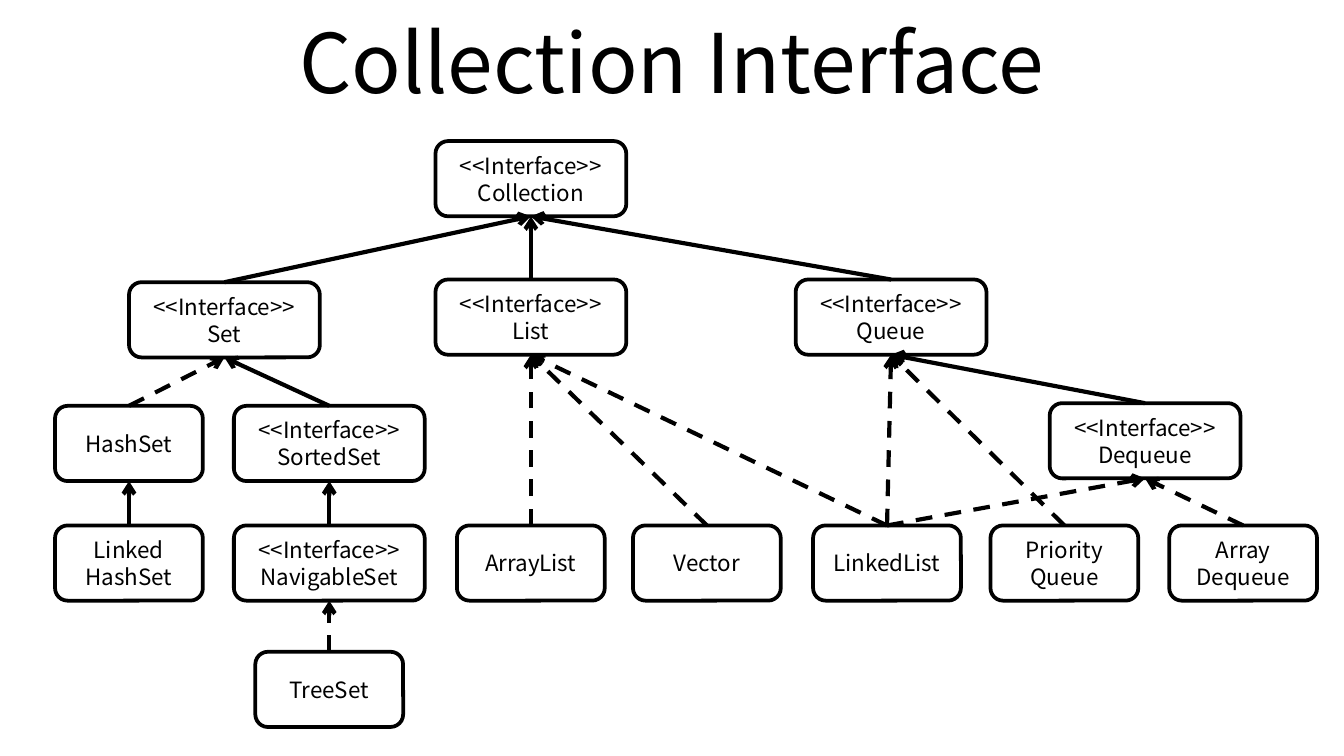
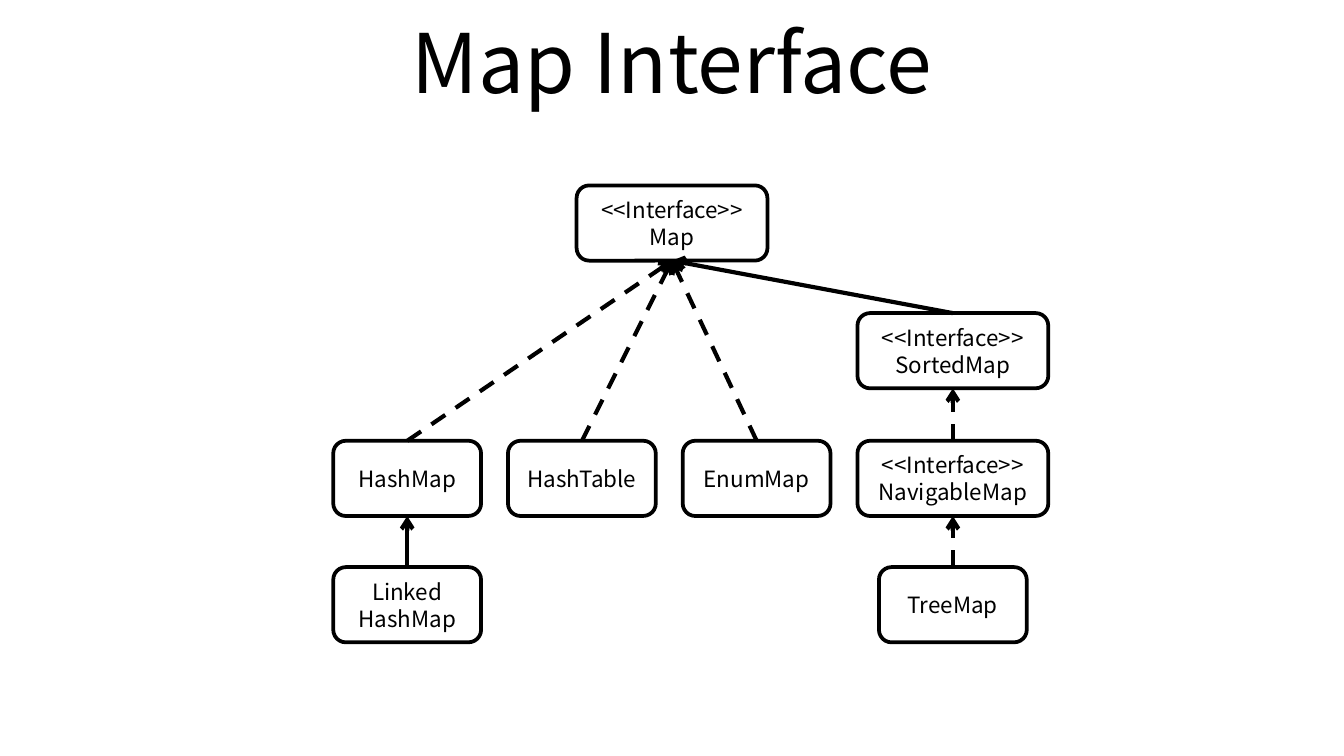
from dataclasses import dataclass

from lxml import etree
from pptx import Presentation
from pptx.dml.color import RGBColor
from pptx.enum.dml import MSO_LINE
from pptx.enum.shapes import MSO_CONNECTOR, MSO_SHAPE
from pptx.enum.text import MSO_ANCHOR, PP_ALIGN
from pptx.oxml.ns import qn
from pptx.shapes.autoshape import Shape
from pptx.slide import Slide
from pptx.text.text import TextFrame
from pptx.util import Inches, Pt

ROUNDED = MSO_SHAPE.ROUNDED_RECTANGLE
STRAIGHT = MSO_CONNECTOR.STRAIGHT
DASH = MSO_LINE.DASH
CENTER = PP_ALIGN.CENTER
MIDDLE = MSO_ANCHOR.MIDDLE
TOP_SITE, BOTTOM_SITE = 0, 2


@dataclass(frozen=True)
class Theme:
    """Colours, type and line weights shared by the slides."""

    ink: RGBColor = RGBColor(0, 0, 0)
    paper: RGBColor = RGBColor(255, 255, 255)
    font: str = "Noto Sans CJK KR"
    title_size: float = 44
    label_size: float = 12
    outline: float = 2
    arrow: float = 2.25


@dataclass(frozen=True)
class Node:
    """A type in a hierarchy, placed by its centre line and top edge."""

    name: str
    center: float
    top: float
    extends: tuple[str, ...] = ()
    implements: tuple[str, ...] = ()

    width = 1.1
    height = 0.56

    @property
    def lines(self) -> list[str]:
        """Return the lines of the label."""
        return self.name.split("\n")


@dataclass(frozen=True)
class Interface(Node):
    """A wider node labelled with the interface stereotype."""

    width = 1.42

    @property
    def lines(self) -> list[str]:
        """Return the stereotype above the name."""
        return ["<<Interface>>", self.name]


@dataclass(frozen=True)
class Hierarchy:
    """A titled slide of related types."""

    title: str
    nodes: tuple[Node, ...]


THEME = Theme()

ROOT, MAIN, SUB, LEAF, LAST = 1.05, 2.08, 3.02, 3.91, 4.85
COLLECTIONS = Hierarchy("Collection Interface", (
    Interface("Collection", 3.95, ROOT),
    Interface("Set", 1.67, 2.1, extends=("Collection",)),
    Interface("List", 3.95, MAIN, extends=("Collection",)),
    Interface("Queue", 6.63, MAIN, extends=("Collection",)),
    Node("HashSet", 0.96, SUB, implements=("Set",)),
    Interface("SortedSet", 2.45, SUB, extends=("Set",)),
    Interface("Dequeue", 8.52, 3, extends=("Queue",)),
    Node("Linked\nHashSet", 0.96, LEAF, extends=("HashSet",)),
    Interface("NavigableSet", 2.45, LEAF, extends=("SortedSet",)),
    Node("ArrayList", 3.95, LEAF, implements=("List",)),
    Node("Vector", 5.26, LEAF, implements=("List",)),
    Node("LinkedList", 6.6, LEAF, implements=("List", "Queue", "Dequeue")),
    Node("Priority\nQueue", 7.92, LEAF, implements=("Queue",)),
    Node("Array\nDequeue", 9.25, LEAF, implements=("Dequeue",)),
    Node("TreeSet", 2.45, LAST, implements=("NavigableSet",)),
))

MAP_ROOT, MAP_SORTED, MAP_CLASS, MAP_LAST = 1.38, 2.33, 3.28, 4.22
MAPS = Hierarchy("Map Interface", (
    Interface("Map", 5, MAP_ROOT),
    Interface("SortedMap", 7.09, MAP_SORTED, extends=("Map",)),
    Node("HashMap", 3.03, MAP_CLASS, implements=("Map",)),
    Node("HashTable", 4.33, MAP_CLASS, implements=("Map",)),
    Node("EnumMap", 5.63, MAP_CLASS, implements=("Map",)),
    Interface("NavigableMap", 7.09, MAP_CLASS, implements=("SortedMap",)),
    Node("Linked\nHashMap", 3.03, MAP_LAST, extends=("HashMap",)),
    Node("TreeMap", 7.09, MAP_LAST, implements=("NavigableMap",)),
))


def write_lines(frame: TextFrame, lines: list[str], size: float) -> None:
    """Write centred paragraphs in the theme font."""
    frame.word_wrap = True
    frame.vertical_anchor = MIDDLE
    frame.margin_left = frame.margin_right = Inches(0.02)
    frame.text = "\n".join(lines)
    for para in frame.paragraphs:
        para.alignment = CENTER
        para.font.name = THEME.font
        para.font.size = Pt(size)
        para.font.color.rgb = THEME.ink


def add_title(page: Slide, title: str) -> None:
    """Add the slide title."""
    box = page.shapes.add_textbox(Inches(0.5), Inches(-0.02), Inches(9), Inches(0.94))
    write_lines(box.text_frame, [title], THEME.title_size)


def add_node(page: Slide, node: Node) -> Shape:
    """Draw a type as a rounded box."""
    box = page.shapes.add_shape(
        ROUNDED, Inches(node.center - node.width / 2), Inches(node.top),
        Inches(node.width), Inches(node.height))
    box.shadow.inherit = False
    box.fill.solid()
    box.fill.fore_color.rgb = THEME.paper
    box.line.color.rgb = THEME.ink
    box.line.width = Pt(THEME.outline)
    write_lines(box.text_frame, node.lines, THEME.label_size)
    return box


def add_arrow(page: Slide, child: Shape, parent: Shape, dashed: bool) -> None:
    """Join the top of a child to the bottom of its parent."""
    arrow = page.shapes.add_connector(STRAIGHT, 0, 0, 0, 0)
    arrow.begin_connect(child, TOP_SITE)
    arrow.end_connect(parent, BOTTOM_SITE)
    arrow.line.color.rgb = THEME.ink
    arrow.line.width = Pt(THEME.arrow)
    if dashed:
        arrow.line.dash_style = DASH
    properties = arrow.element.spPr
    etree.SubElement(properties.find(qn("a:ln")), qn("a:tailEnd"), type="arrow")
    etree.SubElement(properties, qn("a:effectLst"))


def add_hierarchy(page: Slide, hierarchy: Hierarchy) -> None:
    """Draw the title, the types and their relations."""
    add_title(page, hierarchy.title)
    boxes = {node.name: add_node(page, node) for node in hierarchy.nodes}
    for node in hierarchy.nodes:
        for parents, dashed in ((node.extends, False), (node.implements, True)):
            for parent in parents:
                add_arrow(page, boxes[node.name], boxes[parent], dashed)


def main() -> None:
    """Build and save the deck."""
    deck = Presentation()
    deck.slide_width = Inches(10)
    deck.slide_height = Inches(10 * 9 / 16)
    for hierarchy in (COLLECTIONS, MAPS):
        add_hierarchy(deck.slides.add_slide(deck.slide_layouts[6]), hierarchy)
    deck.save("out.pptx")


if __name__ == "__main__":
    main()
